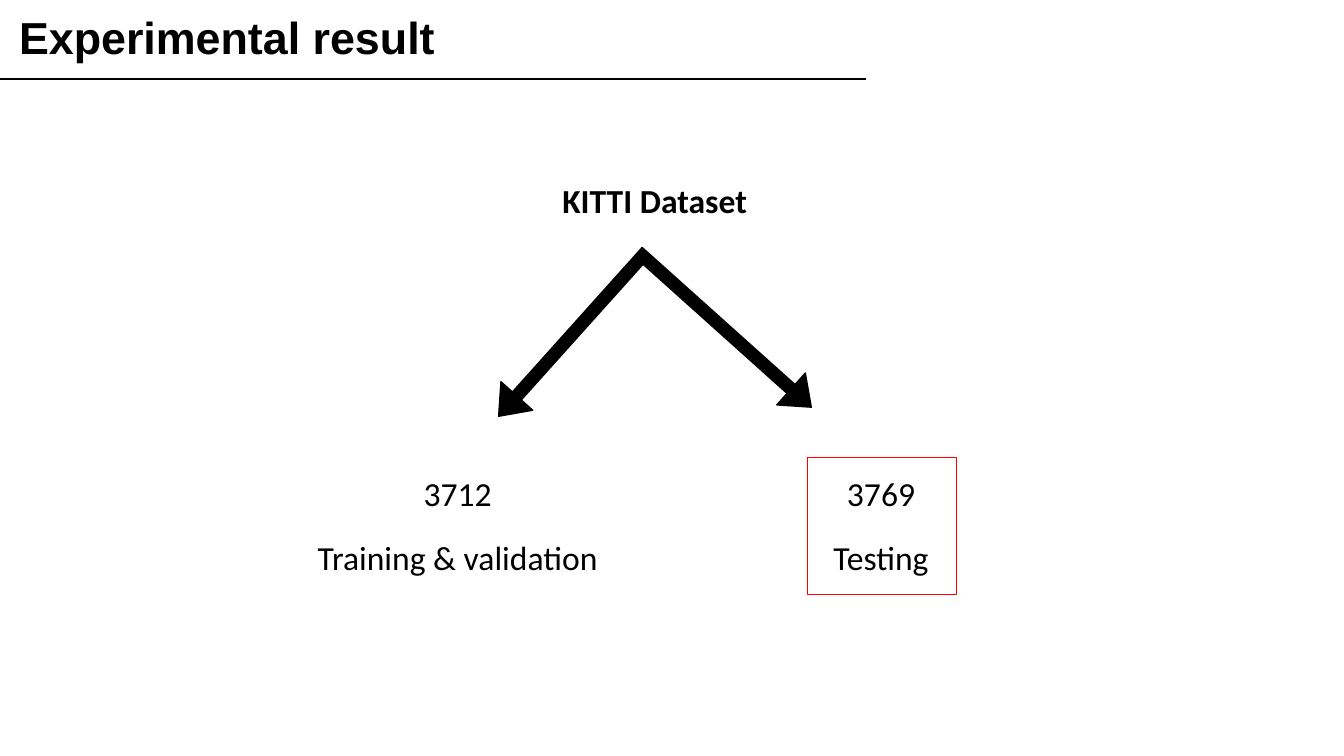
from lxml import etree
from pptx import Presentation
from pptx.dml.color import RGBColor
from pptx.enum.shapes import MSO_CONNECTOR, MSO_SHAPE
from pptx.enum.text import MSO_AUTO_SIZE, PP_ALIGN
from pptx.oxml.ns import qn
from pptx.util import Inches, Pt

STRAIGHT = MSO_CONNECTOR.STRAIGHT
SPLIT_ARROW, RECTANGLE = MSO_SHAPE.LEFT_UP_ARROW, MSO_SHAPE.RECTANGLE
LEFT, CENTER = PP_ALIGN.LEFT, PP_ALIGN.CENTER
FIT_SHAPE = MSO_AUTO_SIZE.SHAPE_TO_FIT_TEXT

WIDTH, HEIGHT = Inches(13.33), Inches(7.5)
BLACK, RED = "000000", "FF0000"
LABEL_HEIGHT = 6.67
COUNT_TOP, NAME_TOP = 61.87, 70.4
COUNT_WIDTH = 6.6

# Subset: centre, count, name, width of the name (percent of the slide)
SUBSETS = [
    (34.05, "3712", "Training & validation", 22.58),
    (65.55, "3769", "Testing", 8.7),
]


def color(value):
    return RGBColor.from_string(value)


def across(percent):
    return round(WIDTH * percent / 100)


def down(percent):
    return round(HEIGHT * percent / 100)


def area(left, top, width, height):
    return across(left), down(top), across(width), down(height)


def add_text(slide, box, text, size, font, bold=False, align=CENTER):
    frame = slide.shapes.add_textbox(*area(*box)).text_frame
    frame.word_wrap = False
    frame.auto_size = FIT_SHAPE
    paragraph = frame.paragraphs[0]
    paragraph.alignment = align
    run = paragraph.add_run()
    run.text = text
    run.font.size, run.font.name, run.font.bold = Pt(size), font, bold
    run.font.color.rgb = color(BLACK)


def add_label(slide, centre, top, width, text, bold=False):
    box = (centre - width / 2, top, width, LABEL_HEIGHT)
    add_text(slide, box, text, 24, "Calibri", bold)


def add_rule(slide, right, top):
    rule = slide.shapes.add_connector(STRAIGHT, 0, down(top), across(right), down(top))
    rule.line.color.rgb = color(BLACK)
    rule.line.width = Pt(1.5)
    etree.SubElement(rule._element.spPr, qn("a:effectLst"))


def add_outlined(slide, kind, box, line, fill=None):
    shape = slide.shapes.add_shape(kind, *area(*box))
    shape.shadow.inherit = False
    if fill:
        shape.fill.solid()
        shape.fill.fore_color.rgb = color(fill)
    else:
        shape.fill.background()
    shape.line.color.rgb = color(line)
    shape.line.width = Pt(1)
    return shape


def main():
    presentation = Presentation()
    presentation.slide_width, presentation.slide_height = WIDTH, HEIGHT
    slide = presentation.slides.add_slide(presentation.slide_layouts[6])

    # Heading
    add_rule(slide, 64.43, 10.4)
    add_text(slide, (0.68, 0.67, 32.7, 8.53), "Experimental result", 32, "Arial", True, LEFT)

    # Dataset and its split
    add_label(slide, 48.71, 23.2, 15.98, "KITTI Dataset", True)
    arrow = add_outlined(slide, SPLIT_ARROW, (39.45, 36.8, 18.45, 31.33), BLACK, BLACK)
    arrow.rotation = 221.9
    for index, share in enumerate((0.05, 0.09, 0.115)):
        arrow.adjustments[index] = share

    # Subsets
    for centre, count, name, name_width in SUBSETS:
        add_label(slide, centre, COUNT_TOP, COUNT_WIDTH, count)
        add_label(slide, centre, NAME_TOP, name_width, name)

    # Frame around the testing subset
    add_outlined(slide, RECTANGLE, (60.08, 60.53, 11.1, 18.13), RED)

    presentation.save("out.pptx")


if __name__ == "__main__":
    main()
